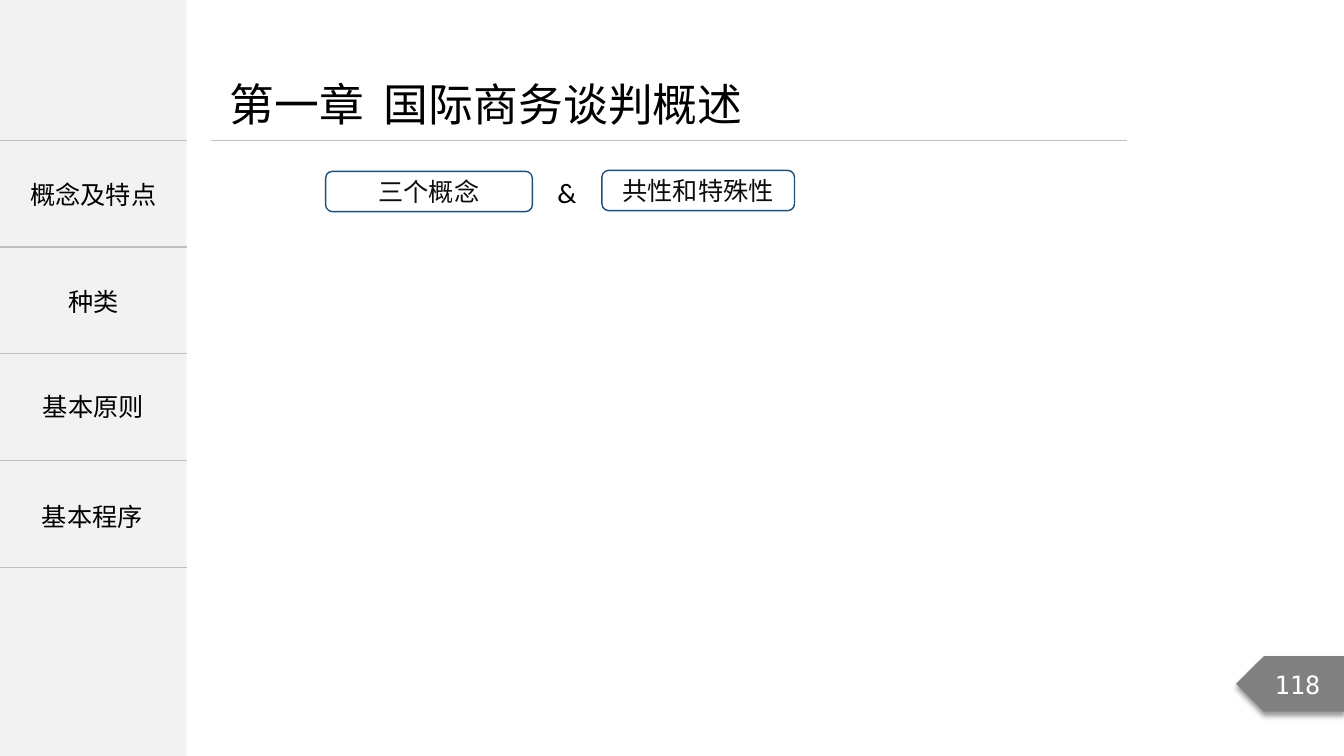
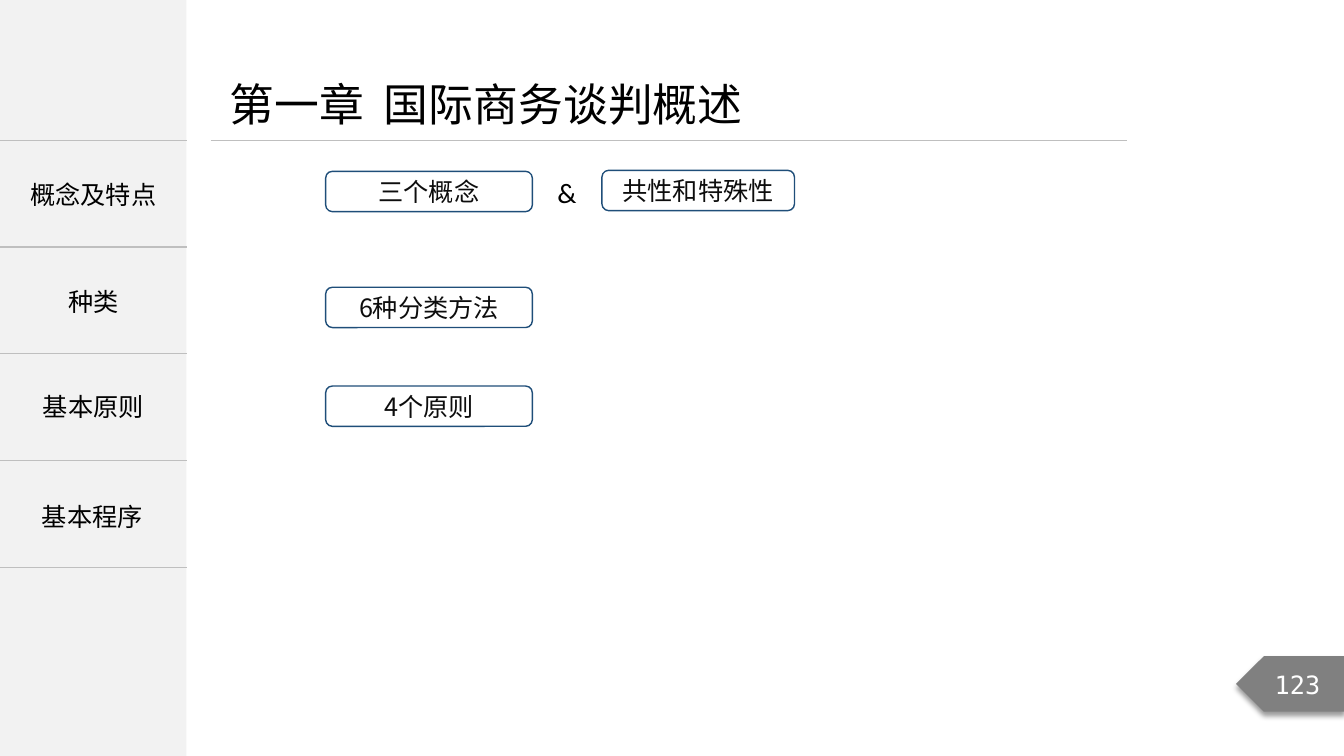
from lxml import etree
from pptx import Presentation
from pptx.dml.color import RGBColor
from pptx.enum import shapes, text
from pptx.oxml import parse_xml
from pptx.oxml.ns import nsdecls, qn
from pptx.util import Inches, Pt

BLACK = RGBColor(0x00, 0x00, 0x00)
INK = RGBColor(0x0D, 0x0D, 0x0D)
WHITE = RGBColor(0xFF, 0xFF, 0xFF)
PANEL = RGBColor(0xF2, 0xF2, 0xF2)
RULE = RGBColor(0xBF, 0xBF, 0xBF)
TAG = RGBColor(0x80, 0x80, 0x80)
NAVY = RGBColor(0x1F, 0x4E, 0x79)
HAN, LATIN, MONO = "Noto Sans CJK SC", "Calibri", "DejaVu Sans Mono"

TITLE = "第一章\t国际商务谈判概述"
MENU_CELLS = ["概念及特点", "种类", "", ""]
MENU_LABELS = [("基本原则", 0.32, 3.83), ("基本程序", 0.31, 4.92)]

# Each key point: wording, left, top, width
CONCEPTS = [("三个概念", 3.23, 1.7, 2.05), ("共性和特殊性", 5.97, 1.69, 1.91)]
METHODS = [("6种分类方法", 3.23, 2.85, 2.05), ("4个原则", 3.23, 3.83, 2.05)]
PAGES = [("118", CONCEPTS), ("123", CONCEPTS + METHODS)]

PANEL_WIDTH = 1.85
HEADER_BOTTOM = 1.39
ROW_HEIGHT = 1.06
POINT_HEIGHT = 0.4


def write(frame, words, size=18, font=HAN, color=BLACK, align=text.PP_ALIGN.CENTER):
    para = frame.paragraphs[0]
    para.alignment = align
    span = para.add_run()
    span.text = words
    span.font.size = Pt(size)
    span.font.name = font
    span.font.color.rgb = color
    east_asian = etree.SubElement(span.font._element, qn("a:ea"))
    east_asian.set("typeface", font)


def add_label(page, words, left, top, width, height, wrap=False, **style):
    box = page.shapes.add_textbox(Inches(left), Inches(top), Inches(width), Inches(height))
    box.text_frame.word_wrap = wrap
    box.text_frame.auto_size = text.MSO_AUTO_SIZE.SHAPE_TO_FIT_TEXT
    write(box.text_frame, words, **style)
    return box


def add_block(page, kind, left, top, width, height, fill=None, line=None):
    block = page.shapes.add_shape(
        kind, Inches(left), Inches(top), Inches(width), Inches(height))
    block.shadow.inherit = False
    if fill is None:
        block.fill.background()
    else:
        block.fill.solid()
        block.fill.fore_color.rgb = fill
    if line is None:
        block.line.fill.background()
    else:
        block.line.color.rgb = line
        block.line.width = Pt(1)
    block.text_frame.vertical_anchor = text.MSO_ANCHOR.MIDDLE
    return block


def add_cell_borders(cell):
    """Rule the top and bottom edges and leave the sides open."""
    properties = cell._tc.get_or_add_tcPr()
    rule = f'<a:solidFill><a:srgbClr val="{RULE}"/></a:solidFill>'
    edges = [("lnL", "<a:noFill/>"), ("lnR", "<a:noFill/>"), ("lnT", rule), ("lnB", rule)]
    for position, (edge, paint) in enumerate(edges):
        properties.insert(position, parse_xml(
            f'<a:{edge} {nsdecls("a")} w="{Pt(1)}">{paint}</a:{edge}>'))


def add_menu(page):
    add_block(page, shapes.MSO_SHAPE.RECTANGLE, 0, 0, PANEL_WIDTH, 7.5, fill=PANEL)
    table = page.shapes.add_table(
        len(MENU_CELLS), 1, Inches(0), Inches(HEADER_BOTTOM),
        Inches(PANEL_WIDTH), Inches(ROW_HEIGHT * len(MENU_CELLS))).table
    table.first_row = table.horz_banding = False
    for row, words in enumerate(MENU_CELLS):
        cell = table.cell(row, 0)
        cell.fill.background()
        cell.vertical_anchor = text.MSO_ANCHOR.MIDDLE
        add_cell_borders(cell)
        if words:
            write(cell.text_frame, words)


def add_title(page):
    line = page.shapes.add_connector(
        shapes.MSO_CONNECTOR.STRAIGHT, Inches(2.09), Inches(HEADER_BOTTOM),
        Inches(11.18), Inches(HEADER_BOTTOM))
    line.line.color.rgb = RULE
    line.line.width = Pt(0.5)
    etree.SubElement(line._element.spPr, qn("a:effectLst"))
    title = add_label(page, TITLE, 2.18, 0.71, 5.59, 0.64, wrap=True,
                      size=32, align=text.PP_ALIGN.LEFT)
    properties = title.text_frame.paragraphs[0]._p.get_or_add_pPr()
    stops = etree.SubElement(properties, qn("a:tabLst"))
    etree.SubElement(stops, qn("a:tab"), pos=str(Inches(1.53)), algn="l")


def add_page_tag(page, number):
    tag = add_block(page, shapes.MSO_SHAPE.PENTAGON, 12.26, 6.51, 1.08, 0.55, fill=TAG)
    tag._element.spPr.find(qn("a:xfrm")).set("flipH", "1")
    effects = tag._element.spPr.find(qn("a:effectLst"))
    effects.append(parse_xml(
        f'<a:outerShdw {nsdecls("a")} blurRad="{Pt(4)}" dist="{Pt(3)}" dir="5400000"'
        f' rotWithShape="0"><a:srgbClr val="{BLACK}"><a:alpha val="40000"/></a:srgbClr>'
        '</a:outerShdw>'))
    write(tag.text_frame, number, font=MONO, color=WHITE)


def add_point(page, words, left, top, width):
    point = add_block(page, shapes.MSO_SHAPE.ROUNDED_RECTANGLE,
                      left, top, width, POINT_HEIGHT, line=NAVY)
    write(point.text_frame, words, color=INK)


def add_page(deck, number, points):
    page = deck.slides.add_slide(deck.slide_layouts[6])
    add_menu(page)
    add_title(page)
    add_page_tag(page, number)
    for words, left, top in MENU_LABELS:
        add_label(page, words, left, top, 1.21, 0.4)
    for point in points:
        add_point(page, *point)
    add_label(page, "&", 5.43, 1.69, 0.39, 0.44, wrap=True,
              size=20, font=LATIN, align=text.PP_ALIGN.LEFT)


def main():
    deck = Presentation()
    deck.slide_width, deck.slide_height = Inches(13.33), Inches(7.5)
    for number, points in PAGES:
        add_page(deck, number, points)
    deck.save("out.pptx")


if __name__ == "__main__":
    main()
